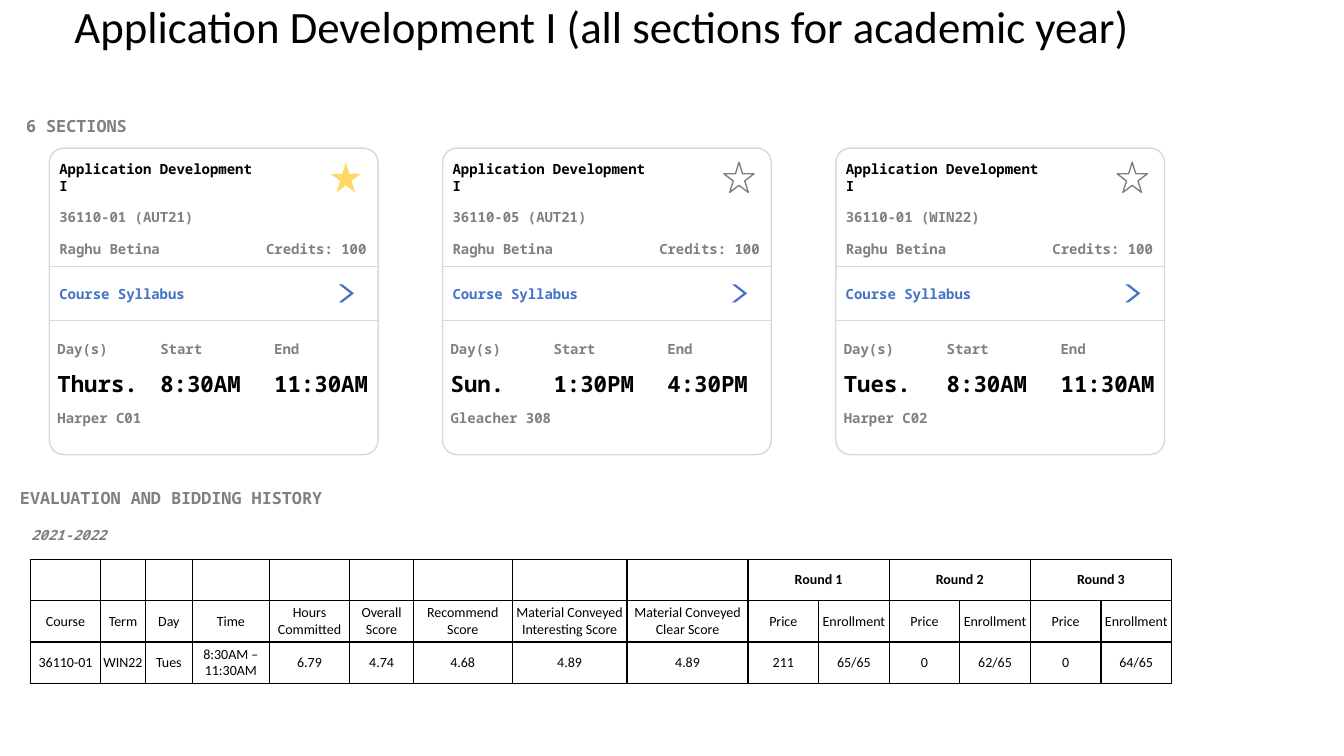
from dataclasses import dataclass

from lxml.etree import SubElement
from pptx import Presentation
from pptx.dml.color import RGBColor
from pptx.enum.shapes import MSO_CONNECTOR, MSO_SHAPE
from pptx.enum.text import MSO_ANCHOR, PP_ALIGN
from pptx.oxml.ns import qn
from pptx.util import Inches, Pt

MONO = "Noto Sans Mono"
SANS = "Calibri"
BLACK = "000000"
GRAY = "808080"
PALE = "D9D9D9"
BLUE = "4472C4"
GOLD = "FFD966"

CARD_LEFT, CARD_TOP = 0.49, 1.47
CARD_WIDTH, CARD_HEIGHT = 3.26, 3.04
CARD_PITCH = 3.9
STANDARD_INSETS = (0.1, 0.05)
NO_INSETS = (0, 0)


@dataclass
class Section:
    code: str
    day: str
    start: str
    end: str
    room: str
    starred: bool = False


SECTIONS = [
    Section("36110-01 (AUT21)", "Thurs.", "8:30AM", "11:30AM", "Harper C01", True),
    Section("36110-05 (AUT21)", "Sun.", "1:30PM", "4:30PM", "Gleacher 308"),
    Section("36110-01 (WIN22)", "Tues.", "8:30AM", "11:30AM", "Harper C02"),
]

ROUNDS = ["Round 1", "Round 2", "Round 3"]
HEADINGS = [
    "Course", "Term", "Day", "Time", "Hours Committed", "Overall\nScore",
    "Recommend Score", "Material Conveyed Interesting Score",
    "Material Conveyed Clear Score",
] + ["Price", "Enrollment"] * len(ROUNDS)
HISTORY = [
    "36110-01", "WIN22", "Tues", "8:30AM – 11:30AM", "6.79", "4.74", "4.68",
    "4.89", "4.89", "211", "65/65", "0", "62/65", "0", "64/65",
]
COLUMN_WIDTHS = [0.7, 0.44, 0.47, 0.76, 0.8, 0.63, 0.98, 1.14, 1.2] + [0.7] * 6
ROW_HEIGHT = 0.41

presentation = Presentation()
presentation.slide_width = Inches(13.33)
presentation.slide_height = Inches(7.5)
slide = presentation.slides.add_slide(presentation.slide_layouts[6])


def rgb(value: str) -> RGBColor:
    return RGBColor.from_string(value)


def write(frame, text: str, *, size=10, font=MONO, color=GRAY, bold=True,
          italic=False, align=PP_ALIGN.LEFT, spacing=1.0) -> None:
    frame.word_wrap = True
    frame.text = text
    for paragraph in frame.paragraphs:
        paragraph.alignment = align
        paragraph.line_spacing = spacing
        for run in paragraph.runs:
            run.font.size = Pt(size)
            run.font.name = font
            run.font.bold = bold
            run.font.italic = italic
            run.font.color.rgb = rgb(color)


def add_text(text: str, left: float, top: float, width: float, height: float, *,
             insets=STANDARD_INSETS, anchor=MSO_ANCHOR.TOP, **text_format) -> None:
    box = slide.shapes.add_textbox(Inches(left), Inches(top), Inches(width), Inches(height))
    frame = box.text_frame
    frame.margin_left = frame.margin_right = Inches(insets[0])
    frame.margin_top = frame.margin_bottom = Inches(insets[1])
    frame.vertical_anchor = anchor
    write(frame, text, **text_format)


def add_figure(preset: MSO_SHAPE, left: float, top: float, width: float, height: float, *,
               fill: str | None = None, line: str | None = None,
               adjustment: float | None = None) -> None:
    figure = slide.shapes.add_shape(
        preset, Inches(left), Inches(top), Inches(width), Inches(height))
    figure.shadow.inherit = False
    if adjustment is not None:
        figure.adjustments[0] = adjustment
    if fill:
        figure.fill.solid()
        figure.fill.fore_color.rgb = rgb(fill)
    else:
        figure.fill.background()
    if line:
        figure.line.color.rgb = rgb(line)
        figure.line.width = Pt(1)
    else:
        figure.line.fill.background()


def add_divider(left: float, top: float) -> None:
    divider = slide.shapes.add_connector(
        MSO_CONNECTOR.STRAIGHT, Inches(left), Inches(top),
        Inches(left + CARD_WIDTH), Inches(top))
    divider.line.color.rgb = rgb(PALE)
    divider.line.width = Pt(0.5)
    SubElement(divider._element.spPr, qn("a:effectLst"))


def add_card(section: Section, left: float) -> None:
    add_figure(MSO_SHAPE.ROUNDED_RECTANGLE, left, CARD_TOP, CARD_WIDTH, CARD_HEIGHT,
               line=PALE, adjustment=0.047)
    for divider_top in (2.64, 3.18):
        add_divider(left, divider_top)
    add_text("Application Development I", left, 1.54, 2.11, 0.44, color=BLACK)
    add_figure(MSO_SHAPE.STAR_5_POINT, left + 2.79, 1.61, 0.3, 0.3,
               fill=GOLD if section.starred else None,
               line=None if section.starred else GRAY)
    add_text(section.code, left, 2.02, 2.11, 0.27)
    add_text("Raghu Betina", left, 2.34, 1.45, 0.27)
    add_text("Credits: 100", left + 2.05, 2.34, 1.21, 0.27)
    add_text("Course Syllabus", left, 2.78, CARD_WIDTH, 0.27, color=BLUE)
    add_figure(MSO_SHAPE.CHEVRON, left + 2.87, 2.82, 0.15, 0.18, fill=BLUE, adjustment=0.762)
    schedule = [
        (0.08, "Day(s)", section.day),
        (1.1, "Start", section.start),
        (2.23, "End", section.end),
    ]
    for offset, label, value in schedule:
        add_text(label, left + offset, 3.38, 0.84, 0.17, insets=NO_INSETS)
        add_text(value, left + offset, 3.67, 1.04, 0.27, insets=NO_INSETS, size=16, color=BLACK)
    add_text(section.room, left + 0.08, 4.06, 1.73, 0.17, insets=NO_INSETS)


def style_cell(cell) -> None:
    cell.margin_left = cell.margin_right = Inches(0.02)
    cell.margin_top = cell.margin_bottom = Inches(0.02)
    cell.vertical_anchor = MSO_ANCHOR.MIDDLE
    properties = cell._tc.get_or_add_tcPr()
    for side in ("lnL", "lnR", "lnT", "lnB"):
        border = SubElement(properties, qn(f"a:{side}"), w=str(Pt(1)))
        border_fill = SubElement(border, qn("a:solidFill"))
        SubElement(border_fill, qn("a:srgbClr"), val=BLACK)
    cell.fill.background()


def add_history() -> None:
    first_round = len(HEADINGS) - 2 * len(ROUNDS)
    round_row = [""] * first_round + [text for name in ROUNDS for text in (name, "")]
    rows = [round_row, HEADINGS, HISTORY]
    history = slide.shapes.add_table(
        len(rows), len(HEADINGS), Inches(0.3), Inches(5.55),
        Inches(sum(COLUMN_WIDTHS)), Inches(ROW_HEIGHT * len(rows))).table
    history.first_row = False
    history.horz_banding = False
    for column, width in zip(history.columns, COLUMN_WIDTHS):
        column.width = Inches(width)
    for row_index, texts in enumerate(rows):
        history.rows[row_index].height = Inches(ROW_HEIGHT)
        for column_index, text in enumerate(texts):
            cell = history.cell(row_index, column_index)
            style_cell(cell)
            if text:
                write(cell.text_frame, text, font=SANS, color=BLACK,
                      bold=row_index == 0, align=PP_ALIGN.CENTER)
    for column_index in range(first_round, len(HEADINGS), 2):
        history.cell(0, column_index).merge(history.cell(0, column_index + 1))


add_text("Application Development I (all sections for academic year)", 0.64, 0, 11.5, 0.58,
         anchor=MSO_ANCHOR.MIDDLE, size=32, font=SANS, color=BLACK, bold=False, spacing=0.9)
add_text("6 SECTIONS", 0.16, 1.1, 3.94, 0.3, size=12)
for position, section in enumerate(SECTIONS):
    add_card(section, CARD_LEFT + position * CARD_PITCH)
add_text("EVALUATION AND BIDDING HISTORY", 0.1, 4.79, 3.94, 0.3, size=12)
add_text("2021-2022", 0.21, 5.17, 2.8, 0.27, italic=True)
add_history()

presentation.save("out.pptx")
